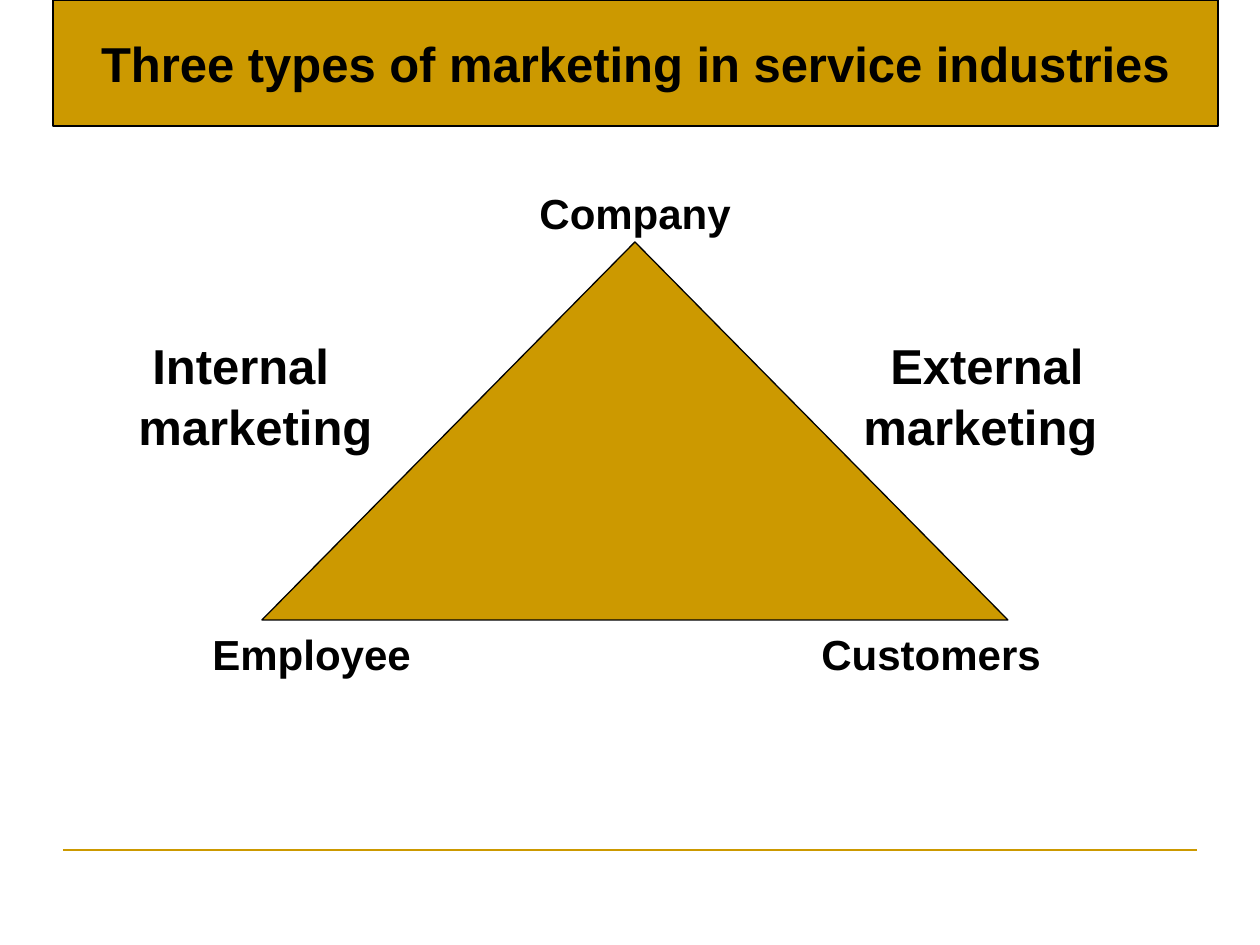
from dataclasses import dataclass

from lxml import etree
from pptx import Presentation
from pptx.dml.color import RGBColor
from pptx.enum.shapes import MSO_CONNECTOR, MSO_SHAPE
from pptx.enum.text import MSO_ANCHOR, MSO_AUTO_SIZE, PP_ALIGN
from pptx.oxml.ns import qn
from pptx.util import Emu, Pt

PIXEL = 914400 // 126
TITLE_ONLY = 5
STRAIGHT = MSO_CONNECTOR.STRAIGHT
TRIANGLE = MSO_SHAPE.ISOSCELES_TRIANGLE
MIDDLE = MSO_ANCHOR.MIDDLE
NO_AUTOFIT = MSO_AUTO_SIZE.NONE
LEFT, CENTER = PP_ALIGN.LEFT, PP_ALIGN.CENTER


@dataclass(frozen=True)
class Theme:
    """Hold the colours, font and sizes of the slide."""
    gold: RGBColor = RGBColor(0xCC, 0x99, 0x00)
    black: RGBColor = RGBColor(0, 0, 0)
    font: str = "Arial"
    large: int = 28
    medium: int = 24
    outline: float = 0.74
    rule: float = 1.5
    spacing: float = 1.05


THEME = Theme()


def px(*values):
    """Turn pixels into EMU lengths."""
    return [Emu(value * PIXEL) for value in values]


def style_line(shape, color, width):
    """Set the line colour and width of a shape."""
    shape.line.color.rgb = color
    shape.line.width = Pt(width)


def fill_gold(shape):
    """Give a shape the gold fill and thin black outline."""
    shape.fill.solid()
    shape.fill.fore_color.rgb = THEME.gold
    style_line(shape, THEME.black, THEME.outline)


def write_line(paragraph, text, size, alignment=LEFT, indent=0):
    """Write one bold run into a paragraph."""
    paragraph.alignment = alignment
    properties = paragraph._p.get_or_add_pPr()
    properties.set("marL", str(indent * PIXEL))
    properties.set("indent", "0")
    run = paragraph.add_run()
    run.text = text
    run.font.name = THEME.font
    run.font.size = Pt(size)
    run.font.bold = True
    run.font.color.rgb = THEME.black


def add_label(slide, box, size, lines):
    """Add a text box from pairs of text and indent."""
    shape = slide.shapes.add_textbox(*px(*box))
    frame = shape.text_frame
    frame.word_wrap = True
    for index, (text, indent) in enumerate(lines):
        paragraph = frame.add_paragraph() if index else frame.paragraphs[0]
        paragraph.line_spacing = THEME.spacing
        write_line(paragraph, text, size, indent=indent)


def add_corner(slide):
    """Add the open corner line behind the title."""
    builder = slide.shapes.build_freeform(53, 116, scale=PIXEL)
    builder.add_line_segments([(53, 32), (1187, 32)], close=False)
    corner = builder.convert_to_shape()
    corner.shadow.inherit = False
    corner.fill.background()
    style_line(corner, THEME.gold, THEME.rule)


def add_footer_rule(slide):
    """Add the gold rule near the bottom."""
    rule = slide.shapes.add_connector(STRAIGHT, *px(63, 850, 1197, 850))
    style_line(rule, THEME.gold, THEME.rule)
    etree.SubElement(rule._element.spPr, qn("a:effectLst"))


def add_triangle(slide):
    """Add the marketing triangle."""
    triangle = slide.shapes.add_shape(TRIANGLE, *px(262, 242, 746, 378))
    triangle.shadow.inherit = False
    fill_gold(triangle)


def format_title(slide, text):
    """Turn the title placeholder into the front gold banner."""
    title = slide.shapes.title
    title.left, title.top, title.width, title.height = px(53, 0, 1165, 126)
    fill_gold(title)
    frame = title.text_frame
    frame.word_wrap = False
    frame.auto_size = NO_AUTOFIT
    frame.vertical_anchor = MIDDLE
    write_line(frame.paragraphs[0], text, THEME.large, CENTER)
    slide.shapes._spTree.append(title._element)


def main():
    """Build and save the slide."""
    presentation = Presentation()
    presentation.slide_width, presentation.slide_height = px(1260, 945)
    slide = presentation.slides.add_slide(presentation.slide_layouts[TITLE_ONLY])
    add_corner(slide)
    add_footer_rule(slide)
    add_triangle(slide)
    labels = [
        ((200, 620, 284, 63), THEME.medium, [("Employee", 0)]),
        ((809, 620, 294, 63), THEME.medium, [("Customers", 0)]),
        ((515, 179, 262, 63), THEME.medium, [("Company", 12)]),
        ((126, 326, 273, 131), THEME.large, [("Internal", 14), ("marketing", 0)]),
        ((851, 326, 286, 131), THEME.large, [("External", 27), ("marketing", 0)]),
    ]
    for box, size, lines in labels:
        add_label(slide, box, size, lines)
    format_title(slide, "Three types of marketing in service industries")
    presentation.save("out.pptx")


main()
